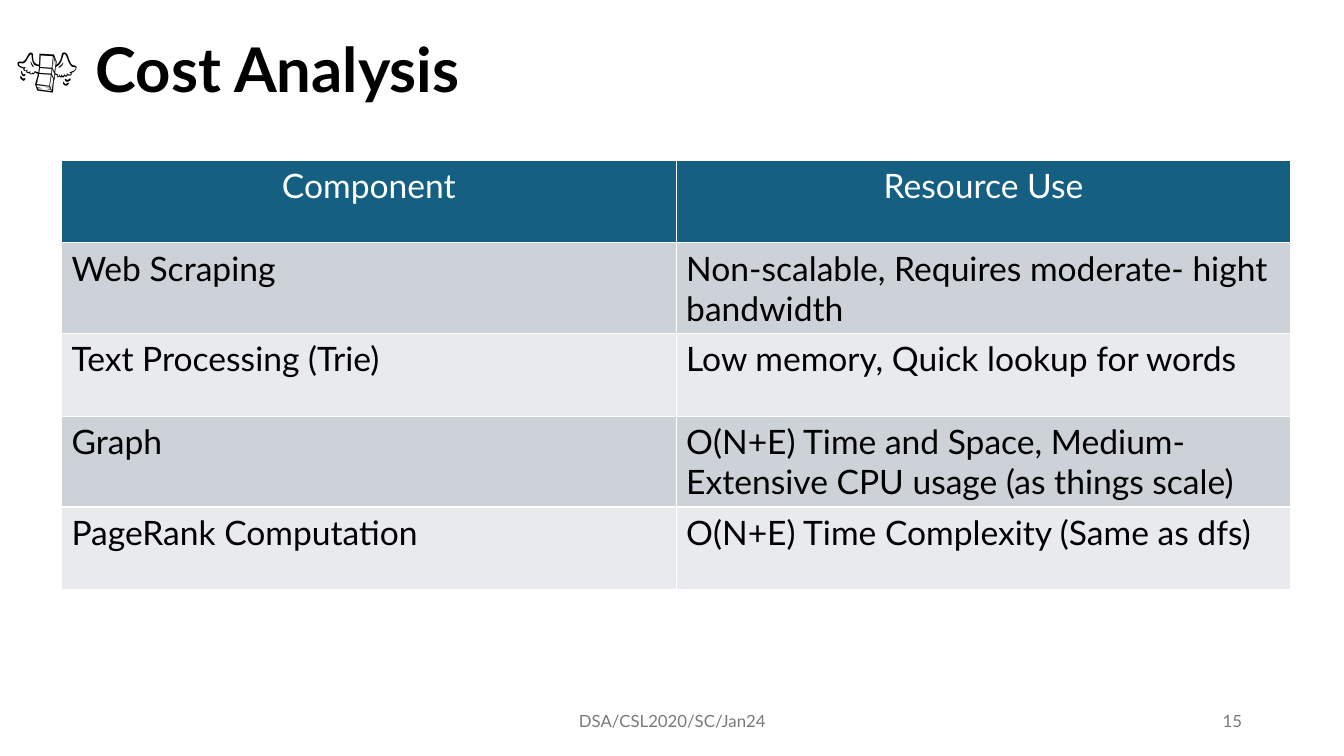
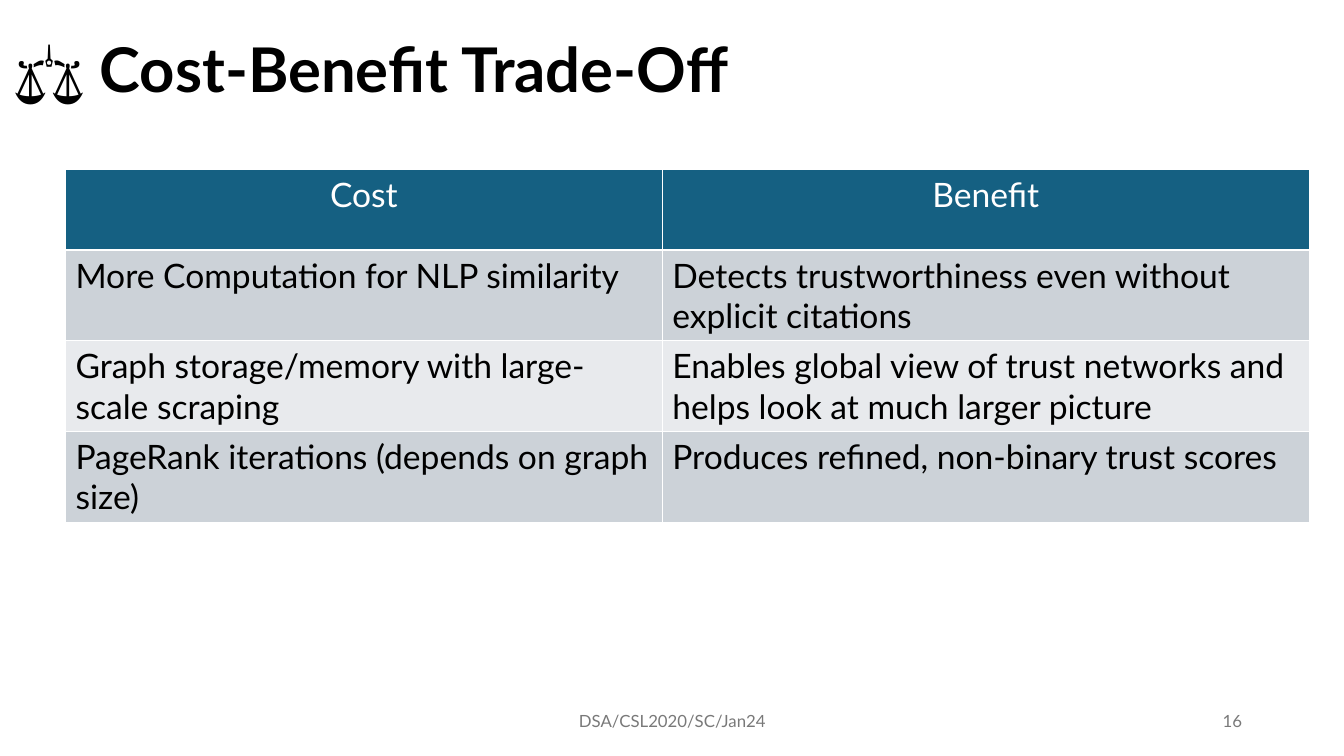
from dataclasses import dataclass

from lxml import etree
from pptx import Presentation
from pptx.dml.color import RGBColor
from pptx.enum.text import MSO_ANCHOR, PP_ALIGN
from pptx.oxml.ns import qn
from pptx.util import Cm, Pt

LEFT, CENTER, RIGHT = PP_ALIGN.LEFT, PP_ALIGN.CENTER, PP_ALIGN.RIGHT
MIDDLE = MSO_ANCHOR.MIDDLE


@dataclass(frozen=True)
class Theme:
    font: str = "Lato"
    title_size: int = 44
    table_size: int = 24
    footer_size: int = 12
    text: str = "000000"
    muted: str = "797979"
    white: str = "FFFFFF"
    header: str = "156082"
    bands: tuple = ("CCD2D8", "E8EAED")
    border_width: int = 1


THEME = Theme()
FOOTER = "DSA/CSL2020/SC/Jan24"
FOOTER_TOP, FOOTER_HEIGHT = 17.65, 1.02
FIRST_PAGE = 15

SLIDES = [
    {
        "icon": "💸",
        "title": "Cost Analysis",
        "origin": (1.55, 4.04),
        "columns": (15.49, 15.49),
        "row_height": 2.08,
        "rows": [
            ("Component", "Resource Use"),
            ("Web Scraping", "Non-scalable, Requires moderate- hight bandwidth"),
            ("Text Processing (Trie)", "Low memory, Quick lookup for words"),
            ("Graph", "O(N+E) Time and Space, Medium-Extensive CPU usage (as things scale)"),
            ("PageRank Computation", "O(N+E) Time Complexity (Same as dfs)"),
        ],
    },
    {
        "icon": "⚖️",
        "title": "Cost-Benefit Trade-Off",
        "origin": (1.65, 4.27),
        "columns": (15.04, 16.31),
        "row_height": 2.03,
        "rows": [
            ("Cost", "Benefit"),
            ("More Computation for NLP similarity",
             "Detects trustworthiness even without explicit citations"),
            ("Graph storage/memory with large-scale scraping",
             "Enables global view of trust networks and helps look at much larger picture"),
            ("PageRank iterations (depends on graph size)",
             "Produces refined, non-binary trust scores"),
        ],
    },
]


def style_run(r, size, color, bold=False):
    r.font.name = THEME.font
    r.font.size = Pt(size)
    r.font.bold = bold
    r.font.color.rgb = RGBColor.from_string(color)


def add_text(s, box, text, size, color, align=LEFT):
    """Add a vertically centred text box and return its paragraph."""
    tf = s.shapes.add_textbox(*(Cm(v) for v in box)).text_frame
    tf.word_wrap = True
    tf.vertical_anchor = MIDDLE
    p = tf.paragraphs[0]
    p.text = text
    p.alignment = align
    style_run(p.runs[0], size, color)
    return p


def add_title(s, icon, title):
    p = add_text(s, (0.15, 0, 29.21, 3.68), f"{icon} ", THEME.title_size, THEME.text)
    p.line_spacing = 0.9
    r = p.add_run()
    r.text = title
    style_run(r, THEME.title_size, THEME.text, bold=True)


def add_footer(s, page):
    for left, width, text, align in (
        (11.23, 11.43, FOOTER, CENTER),
        (23.93, 7.62, str(page), RIGHT),
    ):
        box = (left, FOOTER_TOP, width, FOOTER_HEIGHT)
        add_text(s, box, text, THEME.footer_size, THEME.muted, align)


def set_borders(cell):
    tc_pr = cell._tc.get_or_add_tcPr()
    for side in ("lnL", "lnR", "lnT", "lnB"):
        line = etree.SubElement(tc_pr, qn(f"a:{side}"), w=str(Pt(THEME.border_width)))
        fill = etree.SubElement(line, qn("a:solidFill"))
        etree.SubElement(fill, qn("a:srgbClr"), val=THEME.white)


def fill_cell(cell, text, fill, color, align):
    set_borders(cell)
    cell.fill.solid()
    cell.fill.fore_color.rgb = RGBColor.from_string(fill)
    p = cell.text_frame.paragraphs[0]
    p.text = text
    p.alignment = align
    style_run(p.runs[0], THEME.table_size, color)


def add_banded_table(s, origin, columns, row_height, rows):
    left, top = origin
    table = s.shapes.add_table(
        len(rows), len(columns), Cm(left), Cm(top),
        Cm(sum(columns)), Cm(row_height * len(rows)),
    ).table
    for column, width in zip(table.columns, columns):
        column.width = Cm(width)
    for i, row in enumerate(rows):
        if i == 0:
            look = (THEME.header, THEME.white, CENTER)
        else:
            look = (THEME.bands[(i - 1) % 2], THEME.text, LEFT)
        for j, text in enumerate(row):
            fill_cell(table.cell(i, j), text, *look)


def main():
    prs = Presentation()
    prs.slide_width, prs.slide_height = Cm(33.87), Cm(19.05)
    blank = prs.slide_layouts[6]
    for page, content in enumerate(SLIDES, FIRST_PAGE):
        s = prs.slides.add_slide(blank)
        add_title(s, content["icon"], content["title"])
        add_footer(s, page)
        add_banded_table(s, content["origin"], content["columns"],
                         content["row_height"], content["rows"])
    prs.save("out.pptx")


if __name__ == "__main__":
    main()
